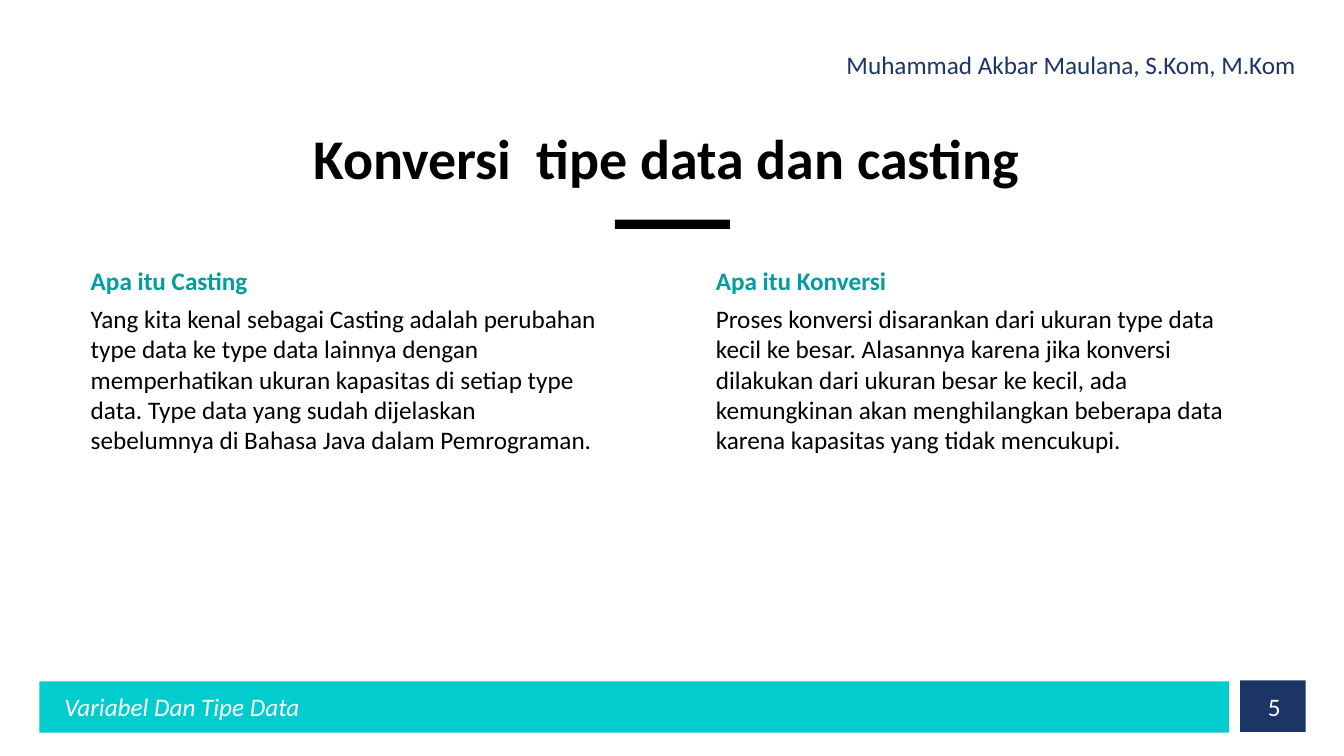
from pptx import Presentation
from pptx.dml.color import RGBColor
from pptx.enum.shapes import MSO_SHAPE as SHAPE
from pptx.enum.text import MSO_ANCHOR as ANCHOR, MSO_AUTO_SIZE as AUTO, PP_ALIGN as ALIGN
from pptx.oxml.ns import qn
from pptx.util import Inches, Pt
from lxml import etree

NAVY = RGBColor(0x1B, 0x35, 0x64)
CYAN = RGBColor(0x02, 0xCC, 0xCD)
TEAL = RGBColor(0x01, 0x9C, 0x9E)
BLACK = RGBColor(0, 0, 0)
WHITE = RGBColor(0xFF, 0xFF, 0xFF)


def put_text(sp, box, text, color, align=ALIGN.LEFT, anchor=ANCHOR.TOP, wrap=False, **font):
    sp.left, sp.top, sp.width, sp.height = [Inches(v) for v in box]
    tf = sp.text_frame
    for name, value in dict(word_wrap=wrap, auto_size=AUTO.NONE, vertical_anchor=anchor).items():
        setattr(tf, name, value)
    p = tf.paragraphs[0]
    for name, value in dict(alignment=align, space_before=Pt(0), line_spacing=1.0).items():
        setattr(p, name, value)
    r = p.add_run()
    r.text = text
    for name, value in (dict(name="Calibri", size=Pt(18), bold=False) | font).items():
        setattr(r.font, name, value)
    r.font.color.rgb = color
    return p


def add_bar(box, color):
    sp = slide.shapes.add_shape(SHAPE.RECTANGLE, *[Inches(v) for v in box])
    sp.shadow.inherit = False
    sp.fill.solid()
    sp.fill.fore_color.rgb = color
    sp.line.fill.background()


prs = Presentation()
prs.slide_width, prs.slide_height = Inches(13.33), Inches(7.5)
slide = prs.slides.add_slide(prs.slide_layouts.get_by_name("Comparison"))
holders = slide.placeholders

# Lecturer name
put_text(slide.shapes.add_textbox(0, 0, 0, 0), (8.24, 0.44, 4.71, 0.4),
         "Muhammad Akbar Maulana, S.Kom, M.Kom", NAVY, ALIGN.RIGHT)

# Title and its underline
put_text(slide.shapes.title, (2.96, 1.18, 7.42, 0.77), "Konversi  tipe data dan casting ",
         BLACK, ALIGN.CENTER, size=Pt(40), bold=True)
add_bar((6.1, 2.18, 1.14, 0.09), BLACK)

# Two columns: heading and explanation
columns = [
    (0.8, 1, "Apa itu Casting",
     "Yang kita kenal sebagai Casting adalah perubahan type data ke type data lainnya dengan "
     "memperhatikan ukuran kapasitas di setiap type data. Type data yang sudah dijelaskan "
     "sebelumnya di Bahasa Java dalam Pemrograman."),
    (7, 3, "Apa itu Konversi",
     "Proses konversi disarankan dari ukuran type data kecil ke besar. Alasannya karena jika "
     "konversi dilakukan dari ukuran besar ke kecil, ada kemungkinan akan menghilangkan "
     "beberapa data karena kapasitas yang tidak mencukupi."),
]
for x, idx, heading, body in columns:
    put_text(holders[idx], (x, 2.58, 5.3, 0.4), heading, TEAL, bold=True)
    p = put_text(holders[idx + 1], (x, 2.96, 5.3, 1.62), body, BLACK, wrap=True)
    pPr = p._p.get_or_add_pPr()
    pPr.set("marL", "0")
    pPr.set("indent", "0")
    etree.SubElement(pPr, qn("a:buNone"))

# Footer bar with topic and page number
add_bar((0.39, 6.76, 11.8, 0.51), CYAN)
add_bar((12.3, 6.75, 0.65, 0.51), NAVY)
put_text(slide.shapes.add_textbox(0, 0, 0, 0), (0.54, 6.81, 2.62, 0.4),
         "Variabel Dan Tipe Data", WHITE, italic=True)
put_text(slide.shapes.add_textbox(0, 0, 0, 0), (9.8, 6.81, 3, 0.4),
         "5", WHITE, ALIGN.RIGHT, ANCHOR.MIDDLE, wrap=True)

prs.save("out.pptx")
